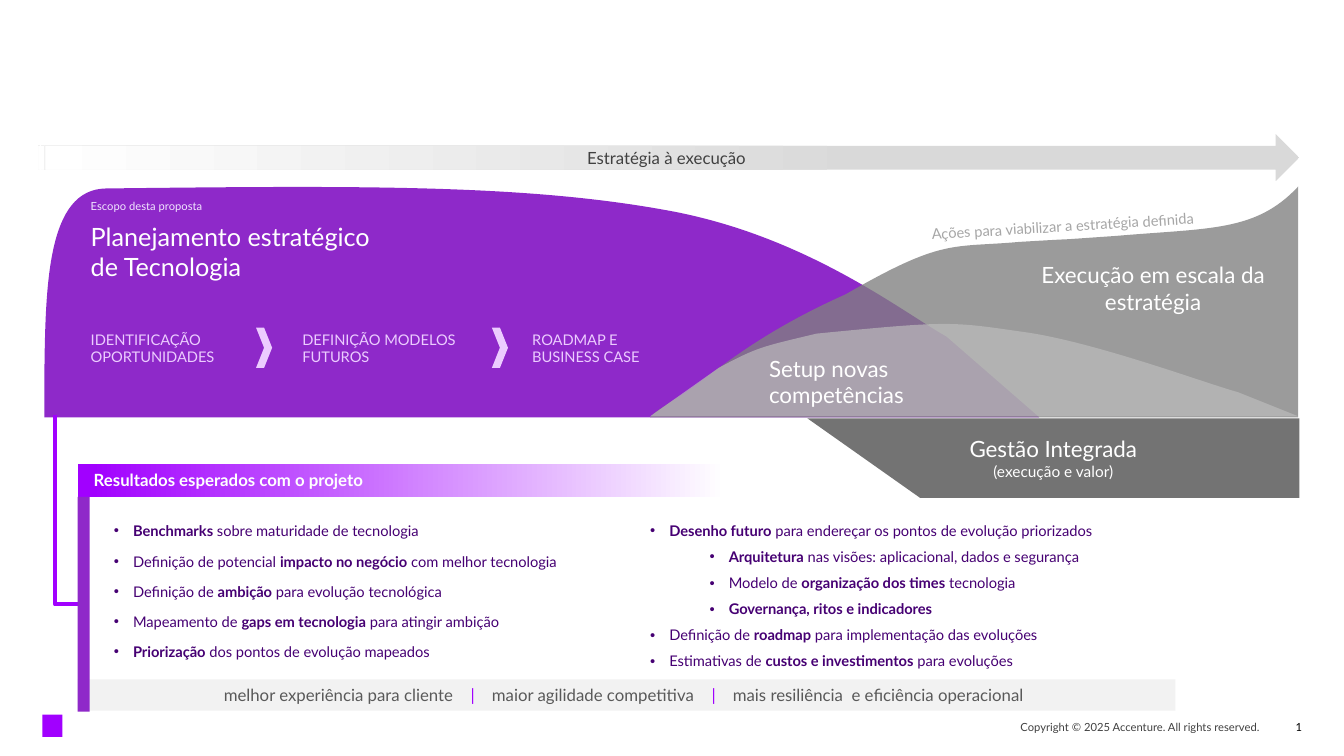
from lxml import etree
from pptx import Presentation
from pptx.dml.color import RGBColor
from pptx.enum.shapes import MSO_CONNECTOR as CONNECTOR, MSO_SHAPE as SHAPE
from pptx.enum.text import MSO_ANCHOR as ANCHOR, MSO_AUTO_SIZE as AUTO, PP_ALIGN as ALIGN
from pptx.oxml.ns import qn
from pptx.util import Inches, Pt

FONT = "Lato"
COLORS = {
    "white": "FFFFFF", "black": "000000", "charcoal": "404040",
    "violet": "A100FF", "plan": "7900BF", "bar": "8F29C9",
    "lilac": "ECCCFF", "pale": "F2E6FF", "plum": "460073",
    "scale": "808080", "skills": "BFBFBF", "management": "595959",
    "silver": "D9D9D9", "caption": "A6A6A6", "mist": "F2F2F2",
}

# Outlines: two numbers are a line's end, six are a Bézier curve
EDGE = [(12.71, 2.3), (12.44, 5.47), (12.53, 5.47), (12.81, 2.05)]
PLAN = [(1.05, 1.87), (3.57, 1.84, 5.19, 1.83, 6.58, 2.08),
        (7.97, 2.32, 8.93, 3.08, 9.39, 3.34), (10.31, 4.14), (0.44, 4.14),
        (0.44, 3.76), (0.45, 2.81, 0.47, 1.88, 1.05, 1.87)]
SCALE = [(12.88, 1.85), (12.88, 4.14), (6.45, 4.14),
         (6.47, 4.13, 6.41, 4.14, 6.73, 3.94),
         (7.06, 3.73, 7.45, 3.34, 8.39, 2.92),
         (9.36, 2.36, 9.44, 2.46, 10.11, 2.4),
         (10.95, 2.35, 10.21, 2.4, 11.08, 2.34),
         (12.01, 2.26, 12.46, 2.3, 12.88, 1.85)]
SKILLS = [(8.1, 3.31), (9.42, 3.18, 9.44, 3.19, 10.13, 3.29),
          (10.83, 3.38, 11.98, 3.81, 12.28, 3.89), (12.88, 4.13),
          (6.45, 4.13), (7.13, 3.65), (7.52, 3.44, 7.56, 3.44, 8.1, 3.31)]
MANAGEMENT = [(8.01, 4.15), (12.89, 4.15), (12.89, 4.94), (9.13, 4.94)]

STEPS = [(0.9, 1.69, "IDENTIFICAÇÃO OPORTUNIDADES"),
         (3, 1.65, "DEFINIÇÃO MODELOS FUTUROS"),
         (5.28, 1.55, "ROADMAP E BUSINESS CASE")]

# Bullets: level and text, with bold parts between asterisks
RESULTS = [(0, "*Benchmarks* sobre maturidade de tecnologia"),
           (0, "Definição de potencial *impacto no negócio* com melhor tecnologia"),
           (0, "Definição de *ambição* para evolução tecnológica"),
           (0, "Mapeamento de *gaps em tecnologia* para atingir ambição"),
           (0, "*Priorização* dos pontos de evolução mapeados")]
FUTURE = [(0, "*Desenho futuro* para endereçar os pontos de evolução priorizados"),
          (1, "*Arquitetura* nas visões: aplicacional, dados e segurança"),
          (1, "Modelo de *organização dos times* tecnologia"),
          (1, "*Governança, ritos e indicadores*"),
          (0, "Definição de *roadmap* para implementação das evoluções"),
          (0, "Estimativas de *custos e investimentos* para evoluções")]


def rgb(name):
    return RGBColor.from_string(COLORS[name])


def style(para, size, color, align=ALIGN.LEFT):
    para.alignment = align
    para.font.name = FONT
    para.font.size = Pt(size)
    para.font.color.rgb = rgb(color)


def add_span(para, text):
    span = para.add_run()
    span.text = text
    return span


def prepare_frame(box, anchor=ANCHOR.MIDDLE, insets=(0, 0, 0, 0)):
    frame = box.text_frame
    frame.word_wrap = True
    frame.vertical_anchor = anchor
    (frame.margin_left, frame.margin_top,
     frame.margin_right, frame.margin_bottom) = map(Inches, insets)
    return frame


def write(box, text, size, color, align=ALIGN.LEFT, anchor=ANCHOR.MIDDLE,
          insets=(0, 0, 0, 0)):
    para = prepare_frame(box, anchor, insets).paragraphs[0]
    style(para, size, color, align)
    for index, line in enumerate(text.split("\n")):
        if index:
            para.add_line_break()
        add_span(para, line)
    return para


def add_label(page, place, text, size, color, **options):
    box = page.shapes.add_textbox(*map(Inches, place))
    write(box, text, size, color, **options)
    return box


def let_grow(box):
    box.text_frame.word_wrap = False
    box.text_frame.auto_size = AUTO.SHAPE_TO_FIT_TEXT


def paint(shape, color, opacity=100):
    shape.shadow.inherit = False
    shape.line.fill.background()
    shape.fill.solid()
    shape.fill.fore_color.rgb = rgb(color)
    if opacity < 100:
        value = shape.fill._xPr.find(".//" + qn("a:srgbClr"))
        etree.SubElement(value, qn("a:alpha"), val=str(opacity * 1000))


def add_block(page, kind, place, color):
    shape = page.shapes.add_shape(kind, *map(Inches, place))
    paint(shape, color)
    return shape


def fade(shape, stops):
    shape.fill.gradient()
    shape.fill.gradient_angle = 180
    for stop, (position, color) in zip(shape.fill.gradient_stops, stops):
        stop.position = position
        stop.color.rgb = rgb(color)


def add_outline(page, place, outline, color, opacity=100):
    ends = [(Inches(step[-2]), Inches(step[-1])) for step in outline]
    builder = page.shapes.build_freeform(*ends[0], scale=1.0)
    builder.add_line_segments(ends[1:], close=True)
    shape = builder.convert_to_shape()
    left, top, width, height = map(Inches, place)
    shape.left, shape.top, shape.width, shape.height = left, top, width, height

    # Redraw the path inside its frame, with true curves
    route = shape._element.spPr.find(".//" + qn("a:path"))
    route.set("w", str(width))
    route.set("h", str(height))
    for part in list(route):
        route.remove(part)
    for index, step in enumerate(outline):
        tag = "a:cubicBezTo" if len(step) == 6 else "a:lnTo" if index else "a:moveTo"
        part = etree.SubElement(route, qn(tag))
        for x, y in zip(step[::2], step[1::2]):
            etree.SubElement(part, qn("a:pt"), x=str(Inches(x) - left),
                             y=str(Inches(y) - top))
    etree.SubElement(route, qn("a:close"))
    paint(shape, color, opacity)
    return shape


def add_bullets(page, place, items, gap):
    box = page.shapes.add_textbox(*map(Inches, place))
    frame = prepare_frame(box, ANCHOR.TOP)
    for index, (level, text) in enumerate(items):
        para = frame.add_paragraph() if index else frame.paragraphs[0]
        para.level = level
        para.space_after = Pt(gap)
        props = para._p.get_or_add_pPr()
        props.set("marL", str(Inches(0.78 if level else 0.19)))
        props.set("indent", str(-Inches(0.19)))
        etree.SubElement(props, qn("a:buFont"), typeface="Arial")
        etree.SubElement(props, qn("a:buChar"), char="•")
        style(para, 10.5, "plum")
        for part, words in enumerate(text.split("*")):
            if words:
                add_span(para, words).font.bold = part % 2 == 1


def add_bracket(page):
    ends = map(Inches, (1.6, 4.94, -0.28, 5.17))
    bracket = page.shapes.add_connector(CONNECTOR.ELBOW, *ends)
    bracket.line.color.rgb = rgb("violet")
    bracket.line.width = Pt(3)
    props = bracket._element.spPr
    props.find(qn("a:xfrm")).set("rot", str(270 * 60000))
    props.find(qn("a:prstGeom")).set("prst", "bentConnector2")
    etree.SubElement(props, qn("a:effectLst"))


def add_benefits(page):
    strip = add_block(page, SHAPE.RECTANGLE, (0.77, 6.74, 10.89, 0.31), "mist")
    para = prepare_frame(strip, insets=(1.45, 0, 0, 0)).paragraphs[0]
    tabs = etree.SubElement(para._p.get_or_add_pPr(), qn("a:tabLst"))
    for stop in (2.45, 2.66, 4.84, 5.05):
        etree.SubElement(tabs, qn("a:tab"), pos=str(Inches(stop)), algn="l")
    style(para, 12, "management")
    for text in ("melhor experiência para cliente", "|", "maior agilidade competitiva",
                 "|", "mais resiliência  e eficiência operacional"):
        span = add_span(para, "\t" + text if para.runs else text)
        if text == "|":
            span.font.color.rgb = rgb("violet")


def main():
    deck = Presentation()
    deck.slide_width, deck.slide_height = Inches(40 / 3), Inches(7.5)
    page = deck.slides.add_slide(deck.slide_layouts[6])

    # Footer
    add_block(page, SHAPE.RECTANGLE, (0.42, 7.09, 0.2, 0.22), "violet")
    add_label(page, (8, 7.1, 4.5, 0.22), "Copyright © 2025 Accenture. All rights reserved.",
              8, "charcoal", align=ALIGN.RIGHT)
    add_label(page, (12.56, 7.1, 0.36, 0.22), "1", 8, "black", align=ALIGN.RIGHT)

    # Strategy, execution and skills waves
    add_outline(page, (12.44, 2.05, 0.37, 3.42), EDGE, "white")
    add_outline(page, (0.44, 1.85, 9.87, 2.29), PLAN, "plan", 84)
    let_grow(add_label(page, (0.9, 2.19, 3.27, 0.61),
                       "Planejamento estratégico\nde Tecnologia", 18, "white"))
    add_outline(page, (6.45, 1.85, 6.43, 2.29), SCALE, "scale", 78)
    add_label(page, (10.31, 2.59, 2.26, 0.54), "Execução em escala da estratégia",
              16, "white", align=ALIGN.CENTER)
    skills = add_outline(page, (6.45, 3.21, 6.43, 0.92), SKILLS, "skills", 66)
    write(skills, "Setup novas\ncompetências", 16, "white", insets=(1.18, 0.28, 0.1, 0.05))

    # Planning steps
    for left, width, text in STEPS:
        add_label(page, (left, 3.28, width, 0.35), text, 10.5, "lilac", anchor=ANCHOR.TOP)
    for left in (2.54, 4.88):
        add_block(page, SHAPE.CHEVRON, (left, 3.25, 0.16, 0.4), "lilac")
    caption = add_label(page, (9.24, 2.14, 2.93, 0.18),
                        "Ações para viabilizar a estratégia definida", 10.5, "caption")
    caption.rotation = 356.4
    let_grow(caption)
    let_grow(add_label(page, (0.9, 1.98, 1.21, 0.13), "Escopo desta proposta", 8, "pale"))

    # Integrated management
    management = add_outline(page, (8.01, 4.15, 4.88, 0.79), MANAGEMENT, "management", 84)
    para = write(management, "Gestão Integrada\n(execução e valor)", 16, "white",
                 align=ALIGN.CENTER)
    para.runs[1].font.size = Pt(11)

    # Results heading and strategy arrow
    heading = add_block(page, SHAPE.RECTANGLE, (0.77, 4.6, 6.98, 0.33), "violet")
    fade(heading, [(0.08, "white"), (0.98, "violet")])
    para = write(heading, "Resultados esperados com o projeto", 12, "white",
                 insets=(0.16, 0, 0, 0))
    para.font.bold = True
    arrow = add_block(page, SHAPE.STRIPED_RIGHT_ARROW, (0.38, 1.33, 12.51, 0.47), "silver")
    fade(arrow, [(0.34, "silver"), (1, "white")])
    write(arrow, "Estratégia à execução", 12, "charcoal", align=ALIGN.CENTER)

    # Expected results
    add_bullets(page, (1.13, 5.18, 5.12, 1.5), RESULTS, 9)
    add_bullets(page, (6.45, 5.18, 5.12, 1.5), FUTURE, 6)
    add_bracket(page)
    add_benefits(page)
    add_block(page, SHAPE.RECTANGLE, (0.77, 4.93, 0.12, 2.13), "bar")

    deck.save("out.pptx")


if __name__ == "__main__":
    main()
